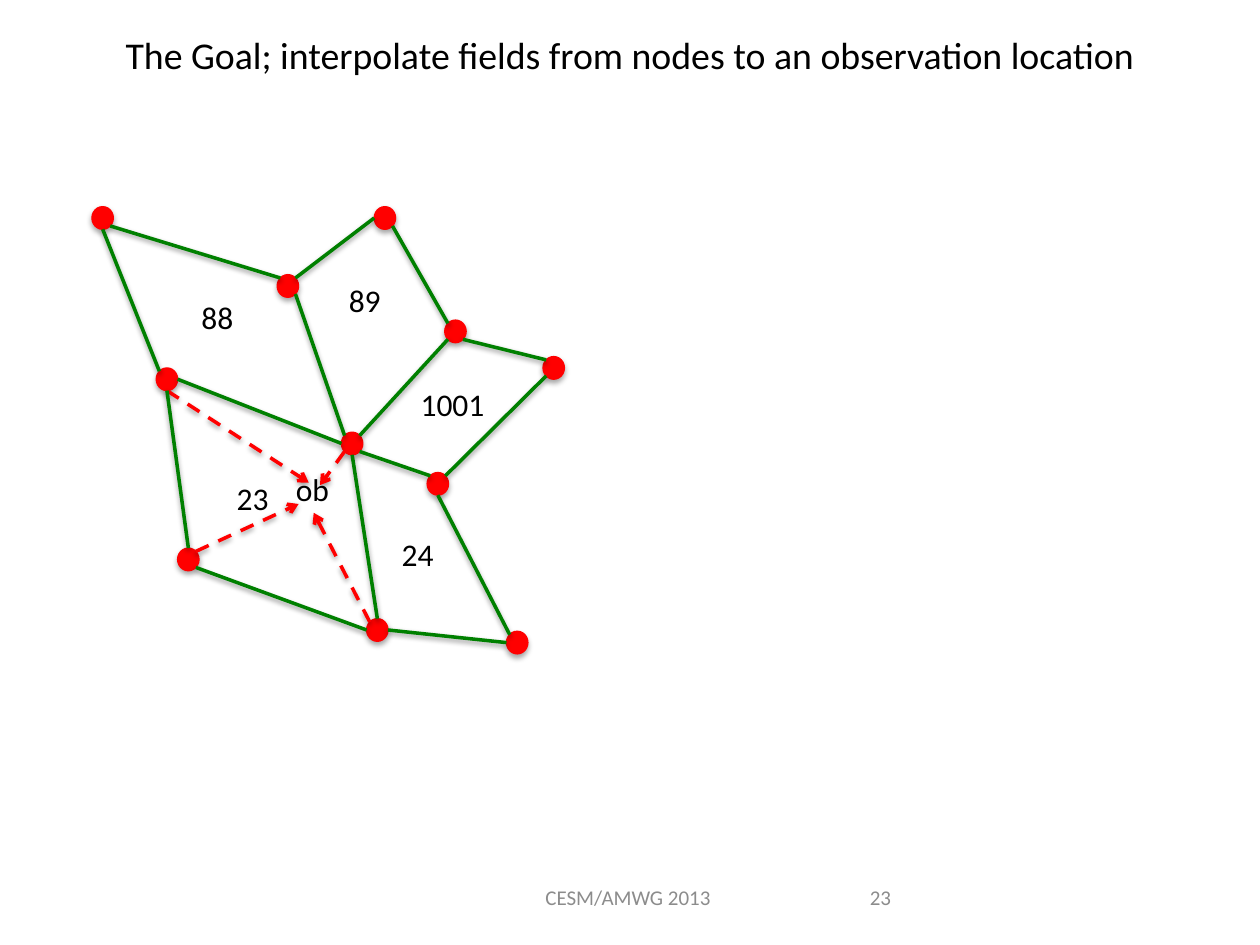
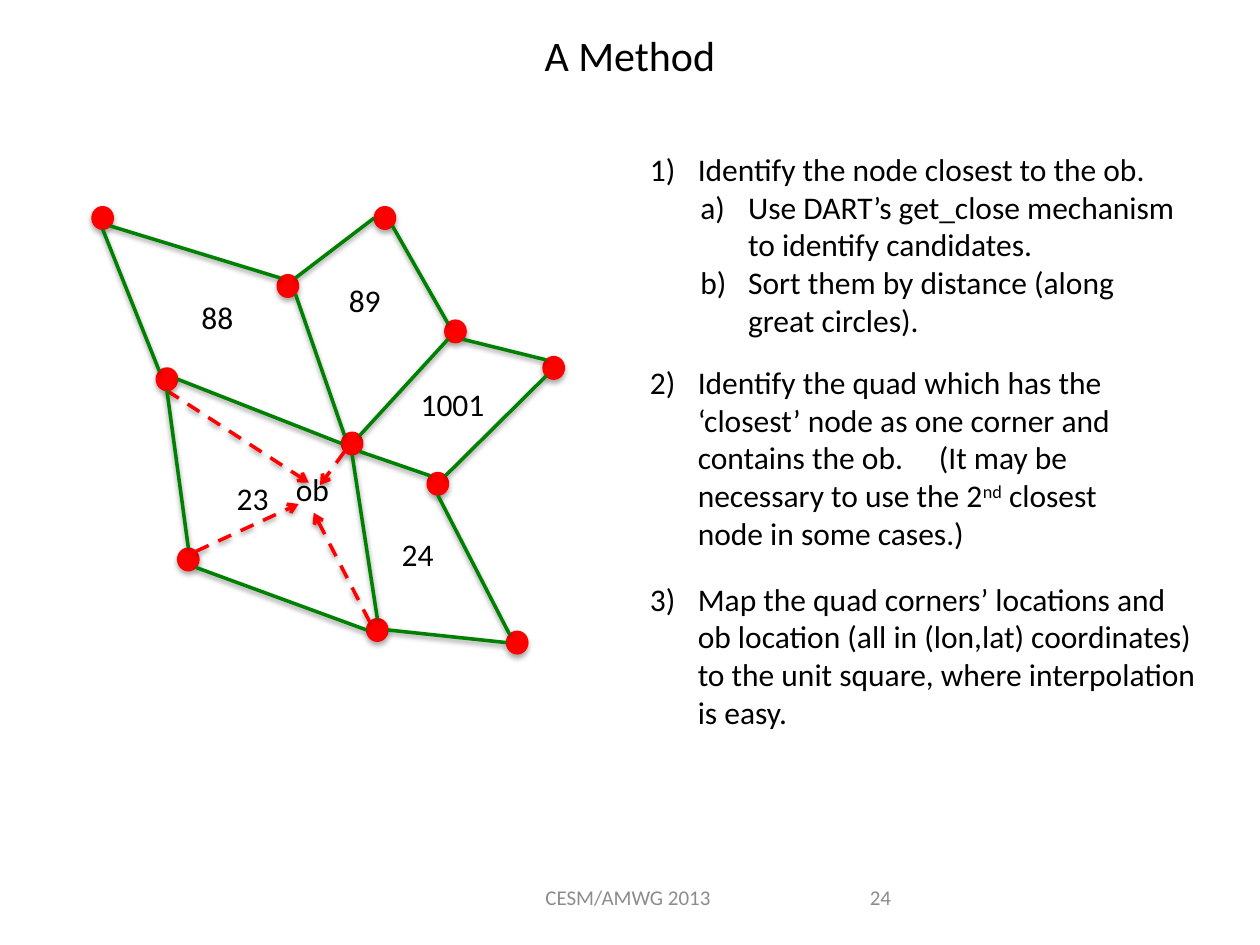
"""Build two slides on interpolating fields from grid nodes to an observation."""
from dataclasses import dataclass

from lxml import etree
from pptx import Presentation
from pptx import util as u
from pptx.dml.color import RGBColor
from pptx.enum import dml, shapes, text
from pptx.oxml import ns


@dataclass(frozen=True)
class Theme:
    """Colours, font and sizes shared by the slides."""
    font: str = "Calibri"
    ink: str = "000000"
    footer_ink: str = "8C8C8C"
    node: str = "FF0000"
    edge: str = "008000"
    title_size: float = 24
    body_size: float = 18
    footer_size: float = 12
    line_width: float = 2


THEME = Theme()
NODE_WIDTH, NODE_HEIGHT = 0.17, 0.18
LIST_LEFT, LIST_INDENT = 5.06, 0.38
WIDE_SPACE = 16.3

NODES = {
    "hub": (2.71, 3.43), "east": (3.39, 3.75), "south": (2.91, 4.91),
    "west": (1.24, 2.92), "north": (2.2, 2.18), "northeast": (3.53, 2.54),
    "far east": (4.31, 2.83), "southeast": (4.02, 5.01),
    "southwest": (1.41, 4.35), "northwest": (0.73, 1.64), "top": (2.97, 1.64),
}
DIAGONAL = 0.5 ** 0.5
SITES = {
    "n": (0, -1), "s": (0, 1), "w": (-1, 0), "e": (1, 0),
    "nw": (-DIAGONAL, -DIAGONAL), "ne": (DIAGONAL, -DIAGONAL),
    "sw": (-DIAGONAL, DIAGONAL), "se": (DIAGONAL, DIAGONAL),
}
EDGES = [
    ("hub", "s", "south", "n"), ("southwest", "se", "south", "w"),
    ("west", "s", "southwest", "n"), ("hub", "w", "west", "e"),
    ("northwest", "s", "west", "nw"), ("north", "se", "hub", "nw"),
    ("northwest", "se", "north", "nw"), ("top", "w", "north", "ne"),
    ("top", "se", "northeast", "nw"), ("northeast", "sw", "hub", "ne"),
    ("far east", "sw", "east", "ne"), ("northeast", "se", "far east", "nw"),
    ("hub", "se", "east", "nw"), ("east", "s", "southeast", "nw"),
    ("south", "e", "southeast", "w"),
]
ARROWS = [
    ("south", "nw", (2.49, 4.07)), ("southwest", "ne", (2.37, 4)),
    ("hub", "sw", (2.54, 3.85)), ("west", "s", (2.45, 3.83)),
]
LABELS = [
    ("23", 1.78, 3.75, 0.66, 0.6), ("24", 3.09, 4.2, 0.66, 0.6),
    ("1001", 3.24, 3.01, 1.03, 0.6), ("89", 2.67, 2.18, 0.66, 0.6),
    ("88", 1.5, 2.32, 0.66, 0.6), ("ob", 2.25, 3.68, 0.47, 0.4),
]


def add_child(parent, tag, **attributes):
    """Append a drawing element to a parent element."""
    child = etree.SubElement(parent, ns.qn(tag))
    for name, value in attributes.items():
        child.set(name, str(value))
    return child


def add_shadow(shape, opacity, distance):
    """Give a shape or connector a soft shadow straight below it."""
    effects = add_child(shape._element.spPr, "a:effectLst")
    shadow = add_child(effects, "a:outerShdw", blurRad=u.Pt(3.1),
                       dist=u.Pt(distance), dir=90 * 60000, rotWithShape=0)
    colour = add_child(shadow, "a:srgbClr", val="000000")
    add_child(colour, "a:alpha", val=opacity * 1000)


def style(paragraph, size, colour=THEME.ink, align=text.PP_ALIGN.LEFT):
    """Set the font and alignment of a paragraph."""
    paragraph.alignment = align
    paragraph.font.name = THEME.font
    paragraph.font.size = u.Pt(size)
    paragraph.font.color.rgb = RGBColor.from_string(colour)


def add_frame(slide, left, top, width, height, wrap=True):
    """Add an empty text box and return its text frame."""
    box = slide.shapes.add_textbox(u.Inches(left), u.Inches(top),
                                   u.Inches(width), u.Inches(height))
    box.text_frame.word_wrap = wrap
    return box.text_frame


def add_line_of_text(slide, words, place, size, colour, align):
    """Add one vertically centred line of text."""
    frame = add_frame(slide, *place)
    frame.vertical_anchor = text.MSO_ANCHOR.MIDDLE
    paragraph = frame.paragraphs[0]
    paragraph.text = words
    style(paragraph, size, colour, align)


def add_label(slide, words, *place):
    """Add a label that fits its words without wrapping."""
    frame = add_frame(slide, *place, wrap=False)
    frame.auto_size = text.MSO_AUTO_SIZE.SHAPE_TO_FIT_TEXT
    frame.paragraphs[0].text = words
    style(frame.paragraphs[0], THEME.body_size)


def add_numbered_list(slide, place, items, scheme="arabicParenR", start=1):
    """Add numbered items, each a list of words and run attributes."""
    frame = add_frame(slide, *place)
    frame.auto_size = text.MSO_AUTO_SIZE.SHAPE_TO_FIT_TEXT
    for index, runs in enumerate(items):
        paragraph = frame.add_paragraph() if index else frame.paragraphs[0]
        properties = paragraph._p.get_or_add_pPr()
        properties.set("marL", str(u.Inches(LIST_INDENT)))
        properties.set("indent", str(-u.Inches(LIST_INDENT)))
        add_child(properties, "a:buFont", typeface=THEME.font)
        add_child(properties, "a:buAutoNum", type=scheme, startAt=start)
        for words, attributes in runs:
            run = paragraph.add_run()
            run.text = words
            for name, value in attributes.items():
                run._r.get_or_add_rPr().set(name, str(value))
        style(paragraph, THEME.body_size)


def site(node, direction):
    """Return the point on a node's outline in a compass direction."""
    left, top = NODES[node]
    across, down = SITES[direction]
    return (left + NODE_WIDTH / 2 * (1 + across),
            top + NODE_HEIGHT / 2 * (1 + down))


def add_node(slide, left, top):
    """Add a grid node."""
    node = slide.shapes.add_shape(
        shapes.MSO_SHAPE.OVAL, u.Inches(left), u.Inches(top),
        u.Inches(NODE_WIDTH), u.Inches(NODE_HEIGHT))
    node.fill.solid()
    node.fill.fore_color.rgb = RGBColor.from_string(THEME.node)
    node.line.color.rgb = RGBColor.from_string(THEME.node)
    node.line.width = u.Pt(0.75)
    add_shadow(node, 35, 1.8)


def add_line(slide, start, end, colour, arrow=False):
    """Add a solid edge, or a dashed arrow."""
    ends = [u.Inches(value) for value in (*start, *end)]
    connector = slide.shapes.add_connector(
        shapes.MSO_CONNECTOR.STRAIGHT, *ends)
    connector.line.color.rgb = RGBColor.from_string(colour)
    connector.line.width = u.Pt(THEME.line_width)
    if arrow:
        connector.line.dash_style = dml.MSO_LINE.DASH
        add_child(connector.line._get_or_add_ln(), "a:tailEnd", type="arrow")
    add_shadow(connector, 38, 1.6)


def add_mesh(slide):
    """Draw the quads, their nodes and the arrows to the observation."""
    for place in NODES.values():
        add_node(slide, *place)
    for node, direction, end in ARROWS:
        add_line(slide, site(node, direction), end, THEME.node, arrow=True)
    for first, leaving, second, entering in EDGES:
        add_line(slide, site(first, leaving), site(second, entering),
                 THEME.edge)
    for label in LABELS:
        add_label(slide, *label)


def add_mesh_slide(presentation, title, number, title_size=THEME.title_size):
    """Add a slide with title, mesh and footer."""
    slide = presentation.slides.add_slide(presentation.slide_layouts[6])
    add_line_of_text(slide, title, (0.5, 0.12, 9, 0.63), title_size,
                     THEME.ink, text.PP_ALIGN.CENTER)
    add_mesh(slide)
    add_line_of_text(slide, "CESM/AMWG 2013", (4.02, 6.92, 1.93, 0.4),
                     THEME.footer_size, THEME.footer_ink,
                     text.PP_ALIGN.CENTER)
    add_line_of_text(slide, str(number), (6.69, 6.92, 0.48, 0.4),
                     THEME.footer_size, THEME.footer_ink,
                     text.PP_ALIGN.RIGHT)
    return slide


def add_method(slide):
    """Add the three numbered steps of the method."""
    add_numbered_list(slide, (LIST_LEFT, 1.14, 4.16, 0.4), [
        [("Identify the node closest to the ob.", {})]])
    add_numbered_list(slide, (5.46, 1.44, 4.04, 1.31), [
        [("Use DART’s get_close mechanism to identify candidates.", {})],
        [("Sort them by distance (along great circles).", {})],
    ], scheme="alphaLcParenR")
    add_numbered_list(slide, (LIST_LEFT, 2.83, 3.85, 1.62), [[
        ("Identify the quad which has the ‘closest’ node as one corner "
         "and contains the ob.", {}),
        (" ", {"spc": round(WIDE_SPACE * 100)}),
        ("(It may be necessary to use the 2", {}),
        ("nd", {"baseline": 30000}),
        (" closest node in some cases.)", {}),
    ]], start=2)
    add_numbered_list(slide, (LIST_LEFT, 4.55, 4.53, 1.31), [[
        ("Map the quad corners’ locations and ob location (all in (lon,lat) "
         "coordinates) to the unit square, where interpolation is easy.", {}),
    ]], start=3)


def main():
    """Build and save the presentation."""
    presentation = Presentation()
    presentation.slide_width = u.Inches(10)
    presentation.slide_height = u.Inches(7.5)
    add_mesh_slide(
        presentation,
        "The Goal; interpolate fields from nodes to an observation location",
        23, title_size=21.6)
    add_method(add_mesh_slide(presentation, "A Method", 24))
    presentation.save("out.pptx")


if __name__ == "__main__":
    main()
